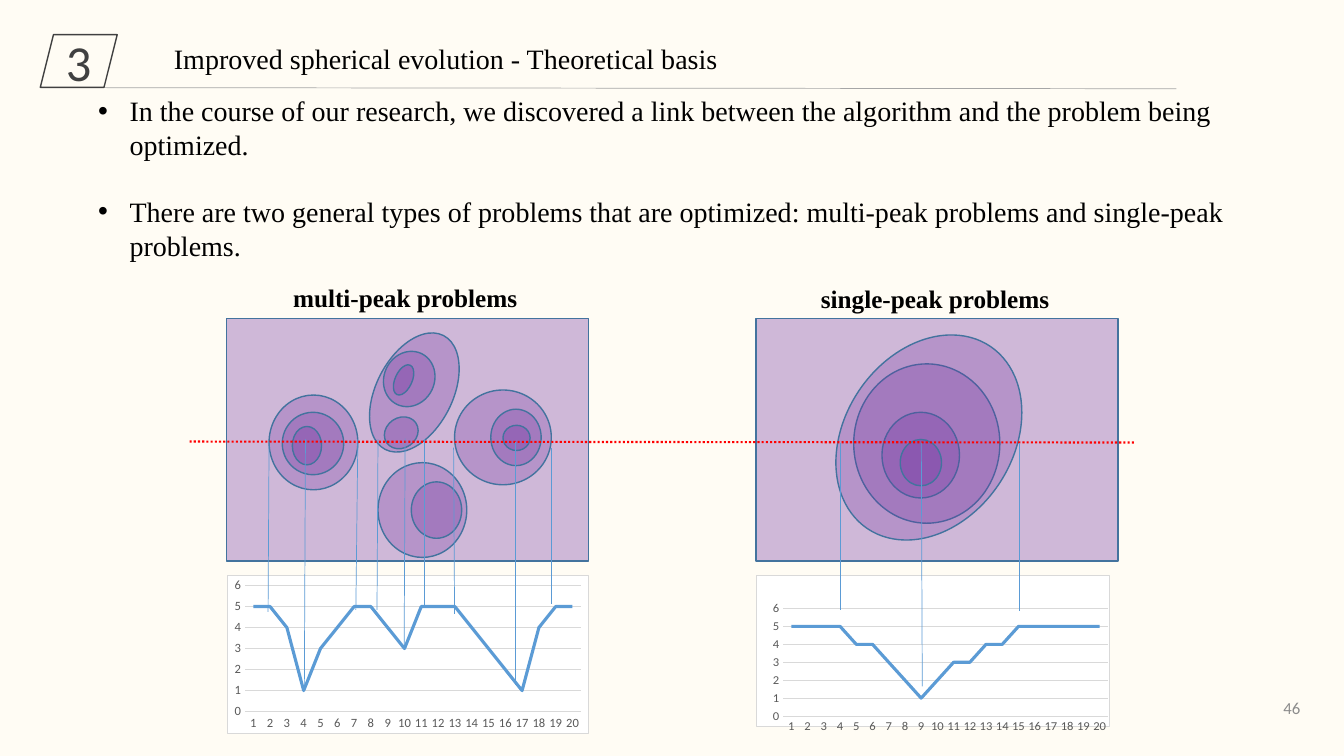
from dataclasses import dataclass
from lxml import etree
from pptx import Presentation
from pptx.chart.data import CategoryChartData as ChartData
from pptx.dml.color import RGBColor as RGB
from pptx.enum.chart import XL_CHART_TYPE as Kind, XL_TICK_MARK as Tick
from pptx.enum.dml import MSO_LINE as Dash
from pptx.enum.shapes import MSO_CONNECTOR as Conn, MSO_SHAPE as Shape
from pptx.enum.text import MSO_ANCHOR as Anchor, PP_ALIGN as Align
from pptx.oxml import parse_xml
from pptx.oxml.ns import nsdecls, qn
from pptx.util import Pt


@dataclass
class Theme:
    back: str = "FFFCF4"
    ink: str = "000000"
    dark: str = "404040"
    rule: str = "A6A6A6"
    page: str = "8C8C8C"
    hill: str = "7030A0"
    edge: str = "43739E"
    cut: str = "FF0000"
    curve: str = "5B9BD5"
    grid: str = "D9D9D9"
    label: str = "595959"
    serif: str = "Times New Roman"
    sans: str = "Calibri"
    body: int = 20
    head: int = 18
    num: int = 36
    foot: int = 12
    tick: int = 9


def style(font, face, size, color, bold=False):
    font.name, font.size, font.bold = face, Pt(size), bold
    font.color.rgb = RGB.from_string(color)


def link(x1, y1, x2, y2, color, width):
    line = slide.shapes.add_connector(Conn.STRAIGHT, Pt(x1), Pt(y1), Pt(x2), Pt(y2))
    line.line.color.rgb = RGB.from_string(color)
    line.line.width = Pt(width)
    etree.SubElement(line.element.spPr, qn("a:effectLst"))
    return line


look = Theme()
deck = Presentation()
deck.slide_width, deck.slide_height = Pt(960), Pt(540)
slide = deck.slides.add_slide(deck.slide_layouts[5])
slide.background.fill.solid()
slide.background.fill.fore_color.rgb = RGB.from_string(look.back)

# Title with its number and rule
title = slide.shapes.title
title.left, title.top, title.width, title.height = Pt(117), Pt(26), Pt(828), Pt(31.5)
title.text_frame.text = "Improved spherical evolution - Theoretical basis"
title.text_frame.vertical_anchor = Anchor.TOP
para = title.text_frame.paragraphs[0]
para.alignment = Align.LEFT
style(para.font, look.serif, look.body, look.ink)

link(63.4, 62.6, 840.2, 63.4, look.rule, 0.5)
badge = slide.shapes.add_shape(Shape.PARALLELOGRAM, Pt(28.8), Pt(24.8), Pt(54.9), Pt(37.6))
badge.shadow.inherit = False
badge.fill.background()
badge.line.color.rgb = RGB.from_string(look.dark)
badge.line.width = Pt(1)
frame = badge.text_frame
frame.text = "3"
frame.word_wrap = False
frame.vertical_anchor = Anchor.MIDDLE
frame.paragraphs[0].alignment = Align.CENTER
style(frame.paragraphs[0].font, look.sans, look.num, look.dark)

# Bullets
points = [
    "In the course of our research, we discovered a link between the algorithm "
    "and the problem being optimized.",
    "There are two general types of problems that are optimized: multi-peak "
    "problems and single-peak problems.",
]
frame = slide.shapes.add_textbox(Pt(63), Pt(63.4), Pt(878.4), Pt(128)).text_frame
frame.word_wrap = True
for i, text in enumerate(points):
    para = frame.paragraphs[0] if i == 0 else frame.add_paragraph()
    para.text = text
    if i:
        para.space_before = Pt(24)
    props = para._p.get_or_add_pPr()
    props.set("marL", str(Pt(22.5)))
    props.set("indent", str(Pt(-22.5)))
    etree.SubElement(props, qn("a:buFont")).set("typeface", "Arial")
    etree.SubElement(props, qn("a:buChar")).set("char", "•")
    style(para.font, look.serif, look.body, look.ink)

# Each problem: caption, caption box, panel left, chart width, plot area, values, hills
multi = [
    (268.6, 234.7, 54.7, 91.4, 27), (192.2, 282.2, 63.4, 67.7, 0),
    (274.3, 250.6, 36, 40.3, 26), (270, 330.5, 63.4, 67.7, 0),
    (324.7, 278.6, 69.1, 67.7, 0), (201.6, 294.5, 43.9, 44.6, 0),
    (208.8, 304.6, 20.9, 27.4, 0), (293.8, 344.2, 36, 40.3, 0),
    (350.6, 292.3, 36, 40.3, 0), (275.8, 296.6, 21.6, 25.2, 56),
    (359.3, 303.8, 19.4, 18, 0), (282.2, 259.9, 12.2, 23, 24),
]
single = [
    (609.8, 259.9, 104.4, 113.8, 0), (630, 294.5, 55.4, 61.2, 0),
    (603.4, 234, 120.2, 157, 34), (643, 313.9, 29.5, 33.1, 0),
]
cases = [
    ("multi-peak problems", (202.3, 198, 184), 162, 258.5, None,
     (5, 5, 4, 1, 3, 4, 5, 5, 4, 3, 5, 5, 5, 4, 3, 2, 1, 4, 5, 5), multi),
    ("single-peak problems", (579.3, 198.7, 184), 540, 252.7,
     {"x": 0.076, "y": 0.221, "w": 0.92, "h": 0.711},
     (5, 5, 5, 5, 4, 4, 3, 2, 1, 2, 3, 3, 4, 4, 5, 5, 5, 5, 5, 5), single),
]
for name, (left, top, wide), edge, span, plot, vals, hills in cases:
    frame = slide.shapes.add_textbox(Pt(left), Pt(top), Pt(wide), Pt(29)).text_frame
    frame.word_wrap = True
    frame.text = name
    style(frame.paragraphs[0].font, look.serif, look.head, look.ink, True)

    # Contour map
    panel = (Shape.RECTANGLE, 33, (edge, 227.3, 258.5, 173.5, 0))
    for kind, alpha, (x, y, w, h, turn) in [panel] + [(Shape.OVAL, 26, hill) for hill in hills]:
        area = slide.shapes.add_shape(kind, Pt(x), Pt(y), Pt(w), Pt(h))
        area.rotation = turn
        area.shadow.inherit = False
        area.fill.solid()
        area.fill.fore_color.rgb = RGB.from_string(look.hill)
        tint = area.element.spPr.find(".//" + qn("a:srgbClr"))
        etree.SubElement(tint, qn("a:alpha")).set("val", str(alpha * 1000))
        area.line.color.rgb = RGB.from_string(look.edge)
        area.line.width = Pt(1)

    # Profile chart
    data = ChartData()
    data.categories = [str(n) for n in range(1, 21)]
    data.add_series("Series 1", vals)
    chart = slide.shapes.add_chart(
        Kind.LINE, Pt(edge), Pt(410.4), Pt(span), Pt(113.8), data).chart
    chart.has_legend = chart.has_title = False
    style(chart.font, look.sans, look.tick, look.label)
    chart.plots[0].vary_by_categories = False
    line = chart.plots[0].series[0]
    line.smooth = False
    line.format.line.color.rgb = RGB.from_string(look.curve)
    line.format.line.width = Pt(2.25)
    cat, val = chart.category_axis, chart.value_axis
    for axis in (cat, val):
        axis.major_tick_mark = axis.minor_tick_mark = Tick.NONE
        style(axis.tick_labels.font, look.sans, look.tick, look.label)
    val.minimum_scale, val.maximum_scale, val.major_unit = 0, 6, 1
    val.format.line.fill.background()
    for part in (cat.format.line, val.major_gridlines.format.line):
        part.color.rgb = RGB.from_string(look.grid)
        part.width = Pt(0.75)
    root = chart.element
    root.find(qn("c:txPr")).addprevious(parse_xml(
        f'<c:spPr {nsdecls("c", "a")}><a:solidFill><a:srgbClr val="FFFFFF"/></a:solidFill>'
        f'<a:ln w="{Pt(0.75)}"><a:solidFill><a:srgbClr val="{look.grid}"/></a:solidFill>'
        '</a:ln></c:spPr>'))
    if plot:
        zone = root.find(".//" + qn("c:plotArea"))
        for old in zone.findall(qn("c:layout")):
            zone.remove(old)
        sizes = "".join(f'<c:{key} val="{num}"/>' for key, num in plot.items())
        zone.insert(0, parse_xml(
            f'<c:layout {nsdecls("c")}><c:manualLayout><c:layoutTarget val="inner"/>'
            f'<c:xMode val="edge"/><c:yMode val="edge"/>{sizes}</c:manualLayout></c:layout>'))

# Cut through both maps, with drops to the charts
link(135.4, 315.4, 811.4, 316.1, look.cut, 1.5).line.dash_style = Dash.ROUND_DOT
drops = [
    (727.9, 316.1, 727.9, 436.3), (658.1, 316.1, 658.8, 490.3),
    (600.5, 316.1, 600.5, 435.6), (367.9, 315.4, 367.9, 489.6),
    (393.8, 319.7, 393.8, 431.3), (324, 319.7, 324.7, 438.5),
    (303.1, 313.9, 303.1, 434.2), (270, 313.9, 269.3, 435.6),
    (289.4, 313.2, 288.7, 462.2), (192.2, 315.4, 191.5, 437),
    (255.6, 313.9, 254.2, 435.6), (218.2, 313.9, 217.4, 493.2),
]
for drop in drops:
    link(*drop, look.curve, 0.5)

# Page number
frame = slide.shapes.add_textbox(Pt(720), Pt(491), Pt(216), Pt(28.8)).text_frame
frame.word_wrap = True
frame.vertical_anchor = Anchor.MIDDLE
frame.text = "46"
frame.paragraphs[0].alignment = Align.RIGHT
style(frame.paragraphs[0].font, look.sans, look.foot, look.page)

deck.save("out.pptx")
